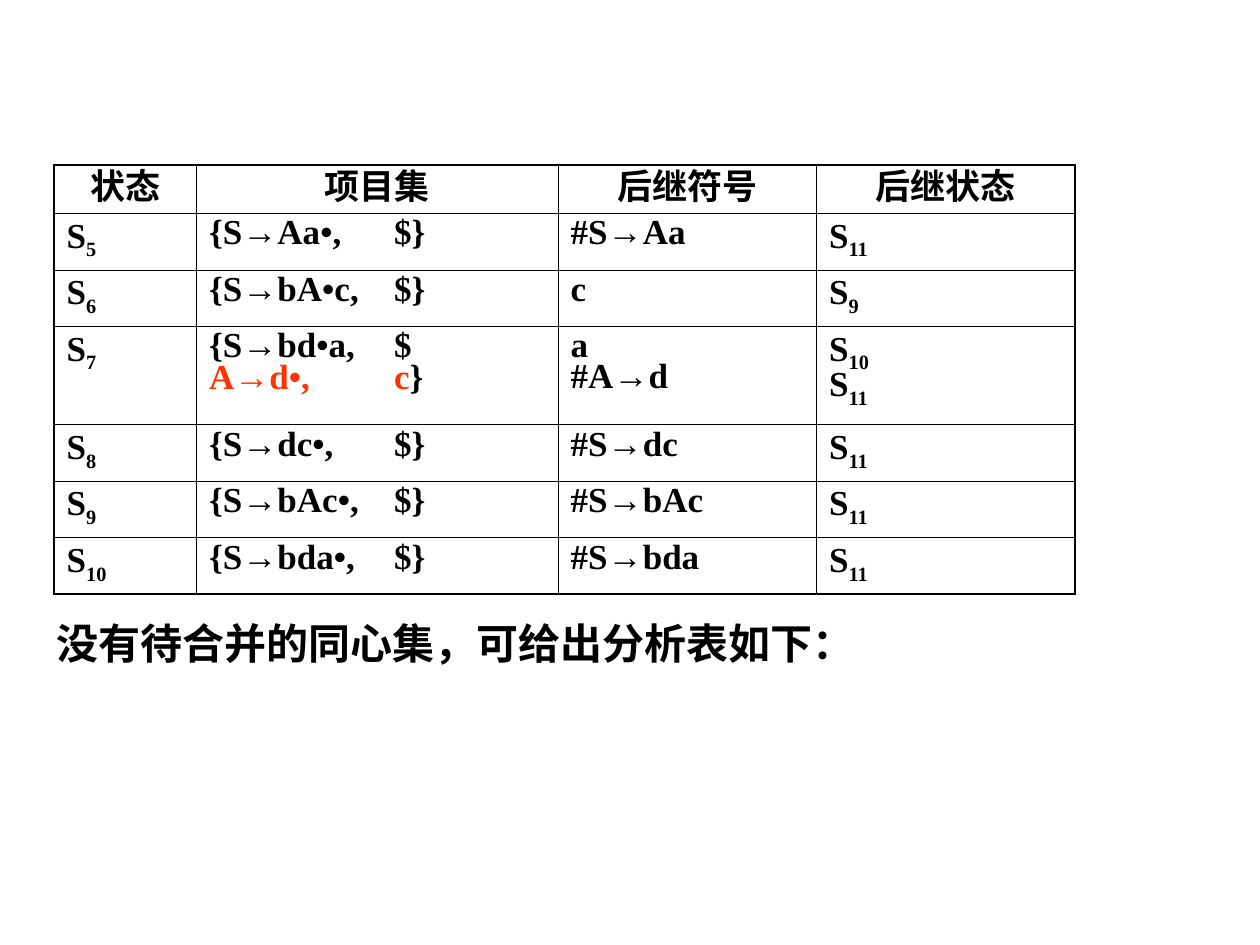
import pptx
import pptx.dml.color
import pptx.enum.text
import pptx.oxml.ns
import pptx.util
from lxml import etree

Cm = pptx.util.Cm
BLACK, RED = "000000", "FF3300"
LATIN, ARROW, CHINESE = "Times New Roman", "Arial", "Noto Sans CJK SC"
THIN, THICK = 0.45, 1.08
LOOKAHEAD_STOP = 3.73

HEADINGS = ["状态", "项目集", "后继符号", "后继状态"]
STATES = [
    ["S_5", "{S→Aa•,\t$}", "#S→Aa", "S_11"],
    ["S_6", "{S→bA•c,\t$}", "c", "S_9"],
    ["S_7", "{S→bd•a,\t$\nA→d•,\tc|}", "a\n#A→d", "S_10\nS_11"],
    ["S_8", "{S→dc•,\t$}", "#S→dc", "S_11"],
    ["S_9", "{S→bAc•,\t$}", "#S→bAc", "S_11"],
    ["S_10", "{S→bda•,\t$}", "#S→bda", "S_11"],
]
COLUMN_WIDTHS = [2.87, 7.29, 5.21, 5.21]
ROW_HEIGHTS = [0.94, 1.14, 1.14, 1.98, 1.14, 1.14, 1.14]


def sub_element(parent, tag, **attributes):
    """Append a DrawingML element and return it."""
    return etree.SubElement(parent, pptx.oxml.ns.qn(tag), **attributes)


def rgb(color):
    """Turn a hex string into a colour."""
    return pptx.dml.color.RGBColor.from_string(color)


def add_text(paragraph, text, size=20, font=LATIN, color=BLACK, baseline=None):
    """Append one bold formatted run to a paragraph."""
    run = paragraph.add_run()
    run.text = text
    run.font.size = pptx.util.Pt(size)
    run.font.bold = True
    run.font.name = font
    run.font.color.rgb = rgb(color)
    properties = run.font._element
    sub_element(properties, "a:ea", typeface=CHINESE)
    if baseline is not None:
        properties.set("baseline", str(baseline * 1000))


def add_production(paragraph, production, color=BLACK):
    """Write a grammar item, with its arrow in its own font and _ before a subscript."""
    symbols, _, subscript = production.partition("_")
    left, arrow, right = symbols.partition("→")
    for text, font in ((left, LATIN), (arrow, ARROW), (right, LATIN)):
        if text:
            add_text(paragraph, text, font=font, color=color)
    if subscript:
        add_text(paragraph, subscript, color=color, baseline=-25)


def fill_state_cell(cell, content):
    """Write one item per line, the part before a bar in red."""
    for index, line in enumerate(content.split("\n")):
        frame = cell.text_frame
        paragraph = frame.add_paragraph() if index else frame.paragraphs[0]
        paragraph.line_spacing = 0.8
        if "\t" in line:
            stops = sub_element(paragraph._p.get_or_add_pPr(), "a:tabLst")
            sub_element(stops, "a:tab", pos=str(Cm(LOOKAHEAD_STOP)), algn="l")
        reduction, _, rest = line.rpartition("|")
        if reduction:
            add_production(paragraph, reduction, color=RED)
        add_production(paragraph, rest)


def set_borders(cell, **widths):
    """Draw the sides of a cell, given as L, R, T and B widths in points."""
    properties = cell._tc.get_or_add_tcPr()
    for index, (side, width) in enumerate(widths.items()):
        border = sub_element(properties, f"a:ln{side}", w=str(pptx.util.Pt(width)))
        line_fill = sub_element(border, "a:solidFill")
        sub_element(line_fill, "a:srgbClr", val=BLACK)
        properties.insert(index, border)


def add_state_table(slide, left, top):
    """Place the table of states, items and successors."""
    row_count, column_count = len(ROW_HEIGHTS), len(COLUMN_WIDTHS)
    table = slide.shapes.add_table(
        row_count, column_count, Cm(left), Cm(top),
        Cm(sum(COLUMN_WIDTHS)), Cm(sum(ROW_HEIGHTS))).table
    table.first_row = table.horz_banding = False
    for column, width in zip(table.columns, COLUMN_WIDTHS):
        column.width = Cm(width)
    for row, height in zip(table.rows, ROW_HEIGHTS):
        row.height = Cm(height)
    for r, contents in enumerate([HEADINGS] + STATES):
        for c, content in enumerate(contents):
            cell = table.cell(r, c)
            cell.fill.background()
            set_borders(
                cell,
                L=THIN if c else THICK,
                R=THICK if c == column_count - 1 else THIN,
                T=THIN if r else THICK,
                B=THICK if r == row_count - 1 else THIN)
            if r:
                fill_state_cell(cell, content)
            else:
                heading = cell.text_frame.paragraphs[0]
                heading.alignment = pptx.enum.text.PP_ALIGN.CENTER
                heading.line_spacing = 0.7
                add_text(heading, content, font=CHINESE)


def add_conclusion(slide, left, top, width, height):
    """Place the sentence below the table."""
    frame = slide.shapes.add_textbox(Cm(left), Cm(top), Cm(width), Cm(height)).text_frame
    frame.word_wrap = True
    frame.auto_size = pptx.enum.text.MSO_AUTO_SIZE.SHAPE_TO_FIT_TEXT
    add_text(frame.paragraphs[0], "没有待合并的同心集，可给出分析表如下：", size=24, font="Arial")


def main():
    """Build the slide and save it."""
    presentation = pptx.Presentation()
    presentation.slide_width, presentation.slide_height = Cm(25.4), Cm(19.05)
    slide = presentation.slides.add_slide(presentation.slide_layouts[6])
    add_state_table(slide, 1.09, 3.33)
    add_conclusion(slide, 0.89, 12.32, 20.75, 1.27)
    presentation.save("out.pptx")


if __name__ == "__main__":
    main()
